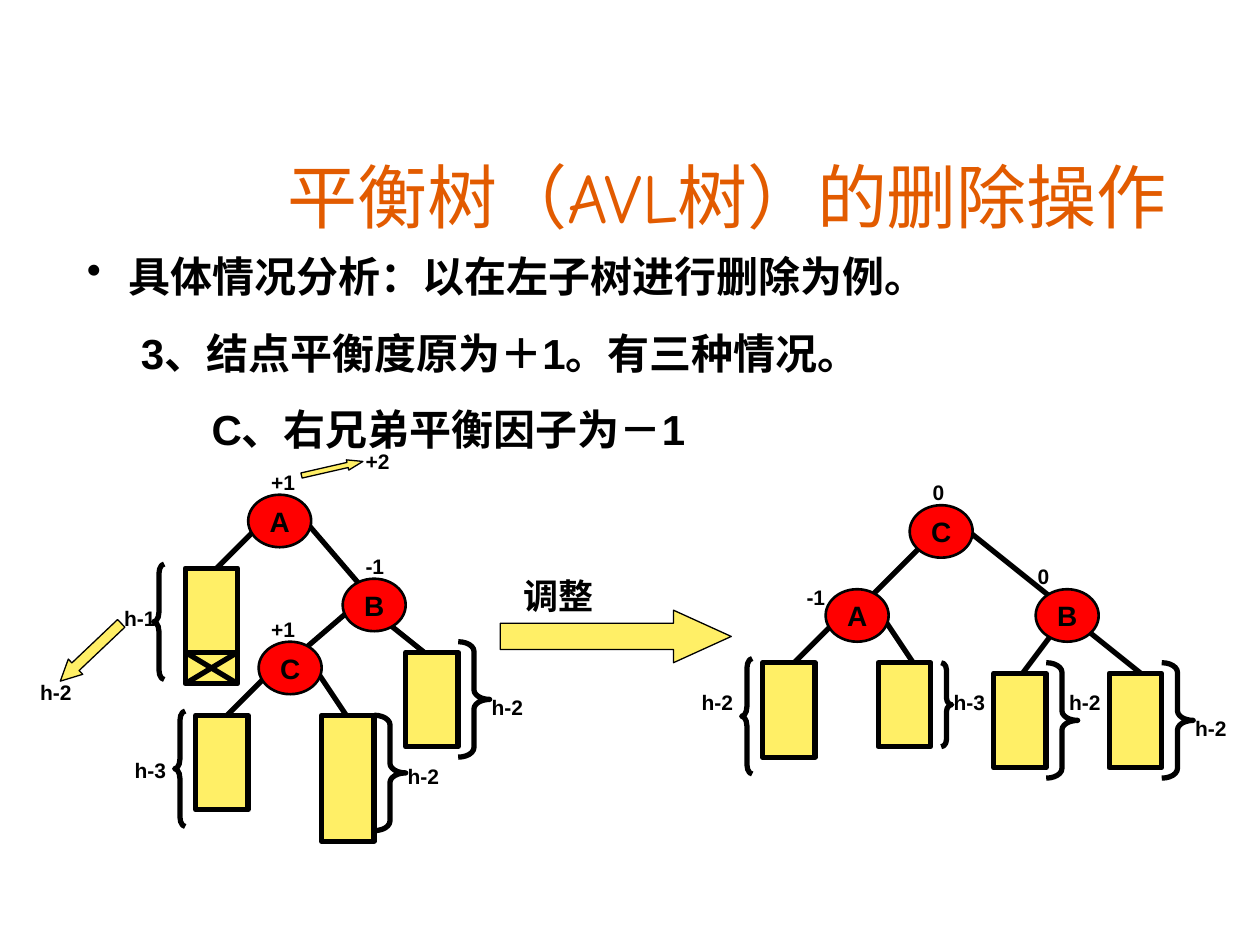
from lxml import etree
from pptx import Presentation
from pptx import util as u
from pptx.dml.color import RGBColor
from pptx.enum import shapes, text
from pptx.oxml.ns import qn

HUE = {"title": "E25B00", "ink": "000000", "tree": "FFEF66", "node": "FF0000"}
KIND = shapes.MSO_SHAPE
MID = text.MSO_ANCHOR.MIDDLE
TOP = text.MSO_ANCHOR.TOP
LEFT = text.PP_ALIGN.LEFT
CENTER = text.PP_ALIGN.CENTER
CELLS = 12  # grid cells to the inch


def rgb(name):
    return RGBColor.from_string(HUE[name])


def grid(box):
    """Turn cells counted from the box's corner into slide lengths."""
    left, top = box

    def place(col, row, *size):
        spot = [u.Inches(left + col / CELLS), u.Inches(top + row / CELLS)]
        return spot + [u.Inches(n / CELLS) for n in size]
    return place


def write(shape, lines, size=12, font="Arial", hue="ink", bold=True,
          align=LEFT, anchor=TOP, wrap=True, gap=0, dents=()):
    """Fill a shape with lines; dents holds (margin, first indent, bullet)."""
    frame = shape.text_frame
    frame.word_wrap = wrap
    frame.vertical_anchor = anchor
    for i, line in enumerate(lines):
        para = frame.paragraphs[0] if i == 0 else frame.add_paragraph()
        para.text = line
        para.alignment = align
        if i:
            para.space_before = u.Pt(gap)
        if dents:
            margin, first, mark = dents[i]
            props = para._p.get_or_add_pPr()
            props.set("marL", str(u.Inches(margin)))
            props.set("indent", str(u.Inches(first)))
            if mark:
                etree.SubElement(props, qn("a:buChar")).set("char", mark)
        para.font.size = u.Pt(size)
        para.font.name = font
        para.font.bold = bold
        para.font.color.rgb = rgb(hue)


def draw(slide, kind, spot, fill=None, width=3.0, adjust=(), turn=0):
    shape = slide.shapes.add_shape(kind, *spot)
    shape.shadow.inherit = False
    if fill:
        shape.fill.solid()
        shape.fill.fore_color.rgb = rgb(fill)
    else:
        shape.fill.background()
    shape.line.color.rgb = rgb("ink")
    shape.line.width = u.Pt(width)
    for i, value in enumerate(adjust):
        shape.adjustments[i] = value
    shape.rotation = turn
    return shape


def link(slide, start, end):
    line = slide.shapes.add_connector(shapes.MSO_CONNECTOR.STRAIGHT,
                                      *start, *end)
    line.line.color.rgb = rgb("ink")
    line.line.width = u.Pt(3)
    etree.SubElement(line._element.spPr, qn("a:effectLst"))


def arrow(slide, spot, head, turn=0):
    draw(slide, KIND.RIGHT_ARROW, spot, "tree", 0.75, (0.5, head), turn)


def brace(slide, place, side, col, row, wide, high):
    kind = KIND.LEFT_BRACE if side == "L" else KIND.RIGHT_BRACE
    curve = high / 12 / min(wide, high)
    draw(slide, kind, place(col, row, wide, high), adjust=(curve, 0.5))


def tree(slide, box, edges, nodes, blocks, braces, labels):
    place = grid(box)
    for a, b, c, d in edges:
        link(slide, place(a, b), place(c, d))
    for name, col, row in nodes:
        node = draw(slide, KIND.OVAL, place(col, row, 6, 5), "node", 1.5)
        write(node, [name], size=16, align=CENTER, anchor=MID, wrap=False)
    for col, row, high in blocks:
        draw(slide, KIND.RECTANGLE, place(col, row, 5, high), "tree")
    for part in braces:
        brace(slide, place, *part)
    for word, col, row in labels:
        write(slide.shapes.add_textbox(*place(col, row, 6, 3.6)), [word])


def before(slide, box):
    tree(slide, box,
         edges=[(23, 7, 18, 12), (26, 7, 32, 14), (33, 14, 26, 20),
                (34, 17, 39, 21), (24, 21, 19, 26), (27, 21, 31, 27)],
         nodes=[("A", 21, 5), ("B", 30, 13), ("C", 22, 19)],
         blocks=[(15, 12, 11), (16, 26, 9), (36, 20, 9), (28, 26, 12)],
         braces=[("L", 12, 11.6, 1, 11), ("R", 41, 19, 3, 11),
                 ("L", 14, 25.6, 1, 11), ("R", 33, 26, 3, 11)],
         labels=[("h-1", 8, 15), ("h-2", 0, 22), ("+1", 22, 2),
                 ("+2", 31, 0), ("-1", 31, 10), ("+1", 22, 16),
                 ("h-2", 43, 23.4), ("h-3", 9, 29.4), ("h-2", 35, 30)])
    place = grid(box)
    # Crossed-out foot of the left subtree: the deleted node
    for top, end in ((20, 20), (20, 23), (23, 20)):
        link(slide, place(15, top), place(20, end))
    arrow(slide, place(2, 19, 8, 2), 1, 136.5)
    arrow(slide, place(26, 2, 6, 1), 1.5, 347.1)


def after(slide, box):
    tree(slide, box,
         edges=[(22, 7, 17, 12), (26, 5, 36, 13), (37, 12, 31, 20),
                (38, 15, 43, 19), (15, 13, 10, 18), (18, 13, 22, 19)],
         nodes=[("C", 21, 3), ("B", 33, 11), ("A", 13, 11)],
         blocks=[(7, 18, 9), (18, 18, 8), (29, 19, 9), (40, 19, 9)],
         braces=[("L", 5, 17.6, 1, 11), ("R", 24, 18, 1, 8),
                 ("R", 34, 18, 3, 11), ("R", 45, 18, 3, 11)],
         labels=[("h-2", 0, 20), ("h-3", 24, 20), ("h-2", 35, 20),
                 ("h-2", 47, 22.4), ("0", 22, 0), ("-1", 10, 10),
                 ("0", 32, 8)])


def step(slide, box):
    place = grid(box)
    arrow(slide, place(0, 4, 22, 5), 1.1)
    write(slide.shapes.add_textbox(*place(1, 0, 16, 5.3)), ["调整"], size=20)


def heading(slide, box):
    title = slide.shapes.title
    title.left, title.top, title.width, title.height = map(u.Inches, box)
    write(title, ["平衡树（AVL树）的删除操作"], size=40, font="Comic Neue",
          hue="title", bold=False, align=CENTER, anchor=MID)


def cases(slide, box):
    body = slide.shapes.add_textbox(*map(u.Inches, box))
    write(body, ["具体情况分析：以在左子树进行删除为例。",
                 "3、结点平衡度原为＋1。有三种情况。",
                 "C、右兄弟平衡因子为－1"],
          size=24, gap=15,
          dents=[(0.58, -0.33, "•"), (0.68, 0, ""), (1.24, 0, "")])


def main():
    deck = Presentation()
    deck.slide_width, deck.slide_height = u.Inches(10), u.Inches(7.5)
    slide = deck.slides.add_slide(deck.slide_layouts[5])
    heading(slide, (1.55, 1.18, 8.44, 0.74))
    cases(slide, (0.34, 1.94, 7.22, 1.72))
    before(slide, (0.22, 3.51))
    step(slide, (3.97, 4.51))
    after(slide, (5.47, 3.76))
    deck.save("out.pptx")


if __name__ == "__main__":
    main()
